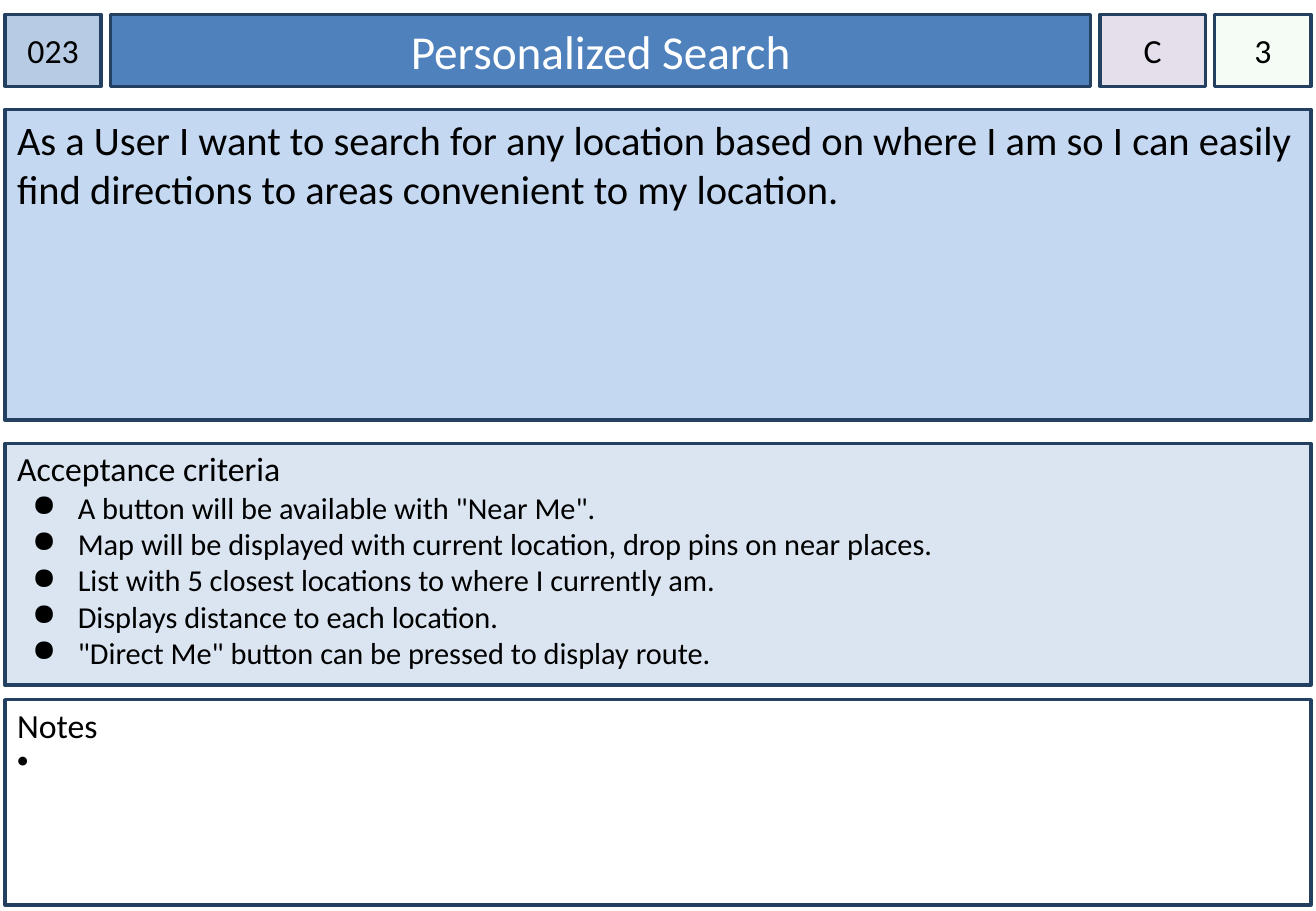
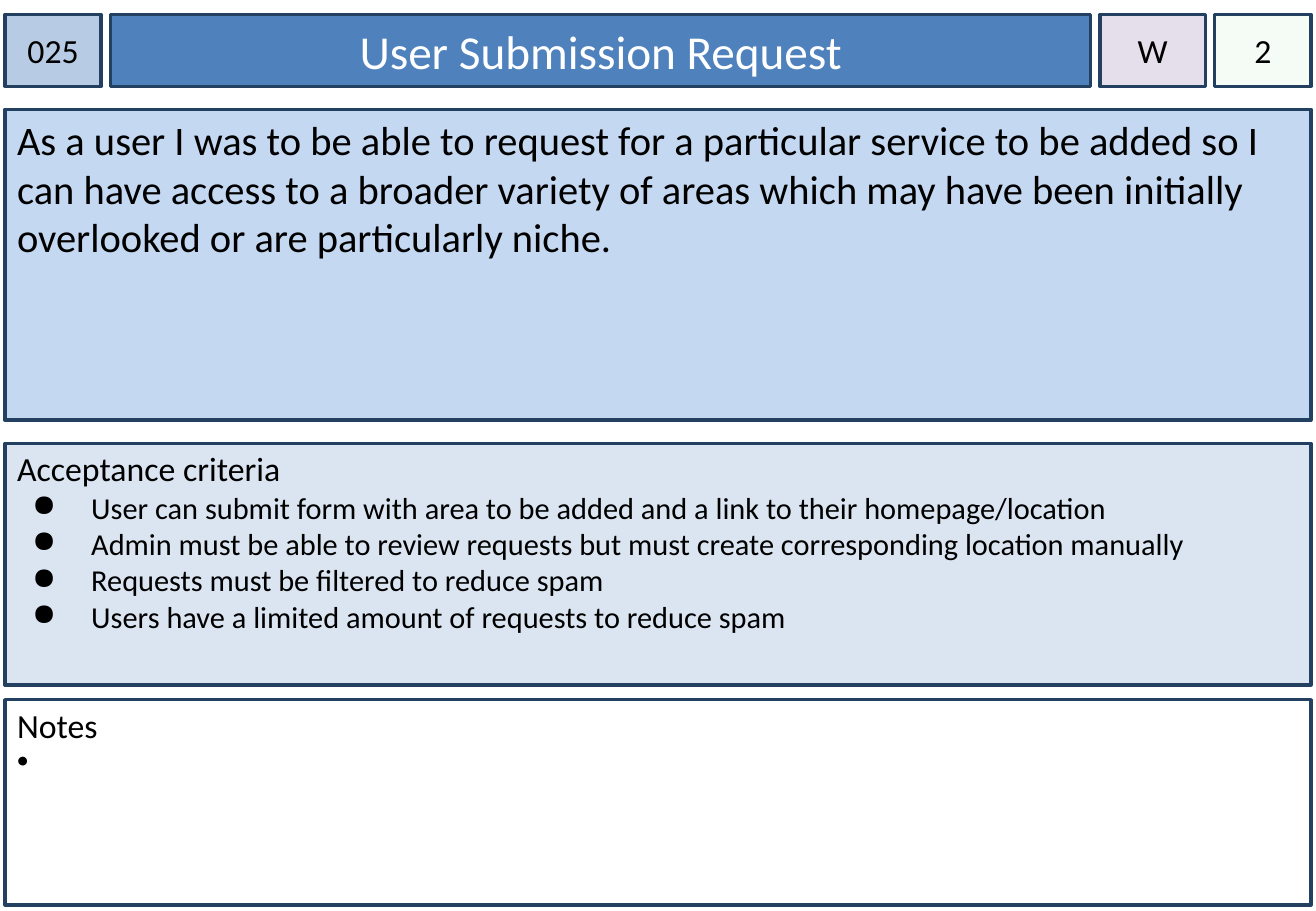
from dataclasses import dataclass

from lxml import etree
from pptx import Presentation
from pptx.dml.color import RGBColor
from pptx.enum.shapes import MSO_SHAPE
from pptx.enum.text import MSO_ANCHOR, PP_ALIGN
from pptx.oxml.ns import qn
from pptx.util import Pt

RECTANGLE = MSO_SHAPE.RECTANGLE
TOP, MIDDLE = MSO_ANCHOR.TOP, MSO_ANCHOR.MIDDLE
LEFT, CENTER = PP_ALIGN.LEFT, PP_ALIGN.CENTER

FONT = "Calibri"
COLORS = {
    "border": "244061",
    "text": "000000",
    "title_text": "FFFFFF",
    "number": "B7CCE4",
    "title": "4F81BD",
    "priority": "E5DFEC",
    "estimate": "CCF0CD",
    "story": "C5D8F1",
    "criteria": "DAE5F1",
    "notes": "FFFFFF",
}
MARGIN = 3
PANEL_WIDTH = 774
HEADER_TOP, HEADER_HEIGHT, HEADER_GAP = 8.64, 42.5, 5.5
INSET = 7.2


@dataclass(frozen=True)
class Box:
    left: float
    top: float
    width: float
    height: float


@dataclass(frozen=True)
class Bullet:
    char: str
    left: float
    hanging: float


@dataclass(frozen=True)
class Line:
    text: str
    size: float
    color: str = "text"
    bullet: Bullet | None = None


@dataclass(frozen=True)
class HeaderCell:
    fill: str
    width: float
    size: float = 20
    color: str = "text"
    inset: float = 0
    alpha: int = 100


@dataclass(frozen=True)
class Story:
    number: str
    title: str
    priority: str
    estimate: str
    story: str
    criteria: tuple[str, ...]
    criteria_bullet: Bullet


HEADER = (
    HeaderCell("number", 57),
    HeaderCell("title", 581, size=28, color="title_text", inset=INSET),
    HeaderCell("priority", 62.5),
    HeaderCell("estimate", 57, alpha=20),
)
STORY_BOX = Box(MARGIN, 64.8, PANEL_WIDTH, 184.3)
CRITERIA_BOX = Box(MARGIN, 262.8, PANEL_WIDTH, 143.3)
NOTES_BOX = Box(MARGIN, 414.7, PANEL_WIDTH, 121.7)
NOTES_BULLET = Bullet("•", 14.4, 14.4)

STORIES = (
    Story(
        "023", "Personalized Search", "C", "3",
        "As a User I want to search for any location based on where I am so I can "
        "easily find directions to areas convenient to my location.",
        (
            'A button will be available with "Near Me".',
            "Map will be displayed with current location, drop pins on near places.",
            "List with 5 closest locations to where I currently am.",
            "Displays distance to each location.",
            '"Direct Me" button can be pressed to display route.',
        ),
        Bullet("●", 36, 27),
    ),
    Story(
        "025", "User Submission Request", "W", "2",
        "As a user I was to be able to request for a particular service to be added "
        "so I can have access to a broader variety of areas which may have been "
        "initially overlooked or are particularly niche.",
        (
            "User can submit form with area to be added and a link to their homepage/location",
            "Admin must be able to review requests but must create corresponding location manually",
            "Requests must be filtered to reduce spam",
            "Users have a limited amount of requests to reduce spam",
        ),
        Bullet("●", 44, 35),
    ),
)


def rgb(name: str) -> RGBColor:
    return RGBColor.from_string(COLORS[name])


def set_bullet(paragraph, bullet: Bullet) -> None:
    properties = paragraph._p.get_or_add_pPr()
    properties.set("marL", str(Pt(bullet.left)))
    properties.set("indent", str(-Pt(bullet.hanging)))
    bullet_color = etree.SubElement(properties, qn("a:buClr"))
    etree.SubElement(bullet_color, qn("a:srgbClr"), val=COLORS["text"])
    etree.SubElement(properties, qn("a:buChar"), char=bullet.char)


def add_panel(slide, box: Box, fill: str, lines: list[Line], align=LEFT,
              anchor=TOP, side_inset: float = INSET, top_inset: float = 3.6,
              alpha: int = 100) -> None:
    panel = slide.shapes.add_shape(
        RECTANGLE, Pt(box.left), Pt(box.top), Pt(box.width), Pt(box.height))
    panel.shadow.inherit = False
    panel.fill.solid()
    panel.fill.fore_color.rgb = rgb(fill)
    if alpha < 100:
        fill_color = panel._element.spPr.find(qn("a:solidFill"))[0]
        etree.SubElement(fill_color, qn("a:alpha"), val=str(alpha * 1000))
    panel.line.color.rgb = rgb("border")
    panel.line.width = Pt(2)

    frame = panel.text_frame
    frame.word_wrap = True
    frame.vertical_anchor = anchor
    frame.margin_left = frame.margin_right = Pt(side_inset)
    frame.margin_top, frame.margin_bottom = Pt(top_inset), Pt(3.6)
    for index, line in enumerate(lines):
        paragraph = frame.add_paragraph() if index else frame.paragraphs[0]
        paragraph.alignment = align
        if line.bullet:
            set_bullet(paragraph, line.bullet)
        run = paragraph.add_run()
        run.text = line.text
        run.font.name = FONT
        run.font.size = Pt(line.size)
        run.font.color.rgb = rgb(line.color)


def add_header(slide, story: Story) -> None:
    left = MARGIN
    texts = (story.number, story.title, story.priority, story.estimate)
    for cell, text in zip(HEADER, texts):
        add_panel(slide, Box(left, HEADER_TOP, cell.width, HEADER_HEIGHT), cell.fill,
                  [Line(text, cell.size, cell.color)], CENTER, MIDDLE,
                  side_inset=cell.inset, alpha=cell.alpha)
        left += cell.width + HEADER_GAP


def add_story_card(slide, story: Story) -> None:
    add_header(slide, story)
    add_panel(slide, STORY_BOX, "story", [Line(story.story, 24)])
    criteria = [Line(text, 18, bullet=story.criteria_bullet) for text in story.criteria]
    add_panel(slide, CRITERIA_BOX, "criteria",
              [Line("Acceptance criteria", 20), *criteria], top_inset=2.9)
    # A bullet is only drawn beside a paragraph that holds some text.
    add_panel(slide, NOTES_BOX, "notes",
              [Line("Notes", 20), Line(" ", 20, bullet=NOTES_BULLET)], top_inset=2.9)


def main() -> None:
    deck = Presentation()
    deck.slide_width, deck.slide_height = Pt(780), Pt(540)
    blank = deck.slide_layouts[6]
    for story in STORIES:
        add_story_card(deck.slides.add_slide(blank), story)
    deck.save("out.pptx")


if __name__ == "__main__":
    main()
